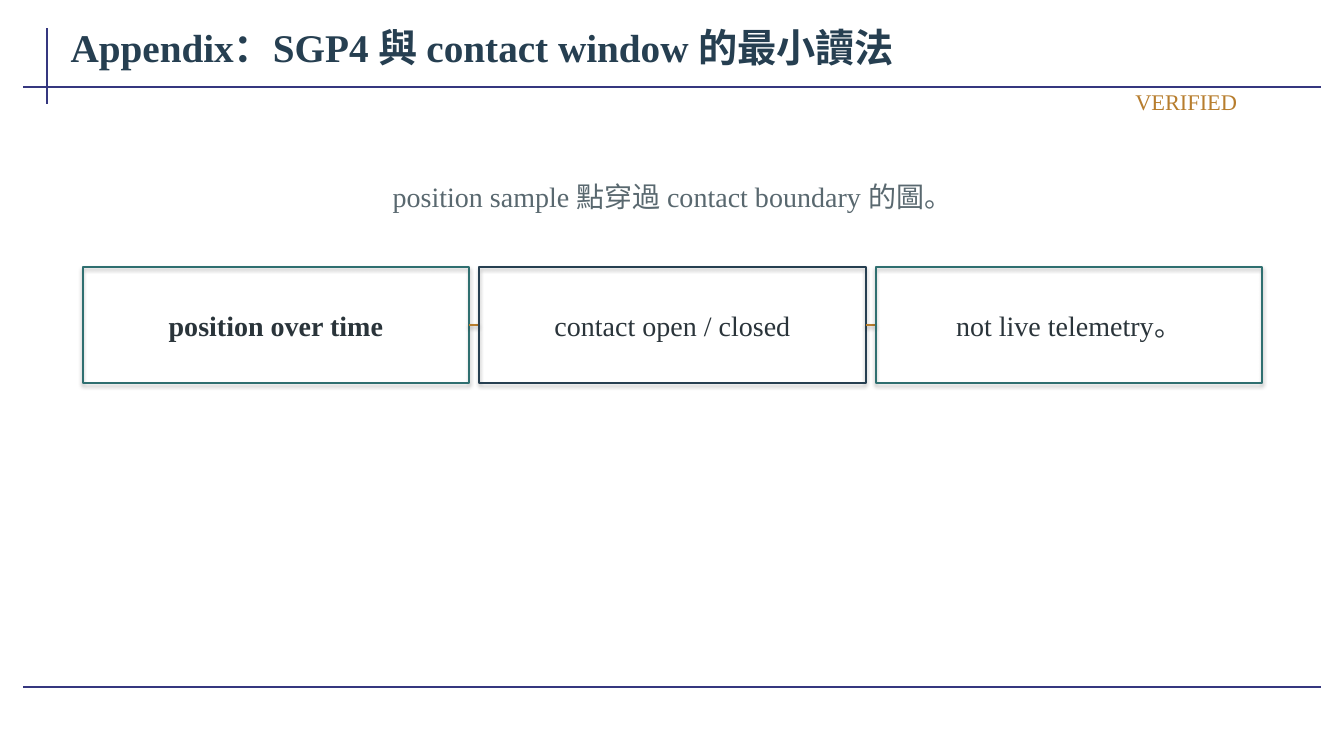
import pptx
import pptx.dml.color
import pptx.enum.shapes
import pptx.enum.text
import pptx.oxml
import pptx.util

RGB = pptx.dml.color.RGBColor
NAVY = RGB(0x26, 0x3F, 0x51)
TEAL = RGB(0x2F, 0x6F, 0x70)
OCHRE = RGB(0xB7, 0x7D, 0x2D)
INK = RGB(0x2A, 0x34, 0x3A)
SLATE = RGB(0x59, 0x68, 0x6F)
INDIGO = RGB(0x35, 0x37, 0x7F)

FONT = "Times New Roman"
EMU_PER_PX = 9144
ALIGN = pptx.enum.text.PP_ALIGN
NS = "http://schemas.openxmlformats.org/drawingml/2006/main"
SHADOW = (
    '<a:effectLst xmlns:a="{ns}"><a:outerShdw blurRad="40000" dist="{dist}" '
    'dir="5400000" rotWithShape="0"><a:srgbClr val="000000">'
    '<a:alpha val="{alpha}"/></a:srgbClr></a:outerShdw></a:effectLst>'
)


def px(n):
    return pptx.util.Emu(round(n * EMU_PER_PX))


def add_shadow(sp, dist, alpha):
    xml = SHADOW.format(ns=NS, dist=dist, alpha=alpha)
    sp._element.spPr.append(pptx.oxml.parse_xml(xml))


def add_line(slide, x1, y1, x2, y2, color, width):
    kind = pptx.enum.shapes.MSO_CONNECTOR.STRAIGHT
    line = slide.shapes.add_connector(kind, px(x1), px(y1), px(x2), px(y2))
    line.line.color.rgb = color
    line.line.width = pptx.util.Pt(width)
    return line


def write_text(sp, text, size, color, align, bold=False):
    tf = sp.text_frame
    tf.word_wrap = True
    tf.auto_size = pptx.enum.text.MSO_AUTO_SIZE.NONE
    tf.vertical_anchor = pptx.enum.text.MSO_ANCHOR.MIDDLE
    tf.margin_left = tf.margin_right = px(8)
    tf.margin_top = tf.margin_bottom = px(4)
    p = tf.paragraphs[0]
    p.text = text
    p.alignment = align
    p.font.name = FONT
    p.font.size = pptx.util.Pt(size)
    p.font.bold = bold
    p.font.color.rgb = color


def add_label(slide, x, y, w, h, *style):
    box = slide.shapes.add_textbox(px(x), px(y), px(w), px(h))
    write_text(box, *style)


def add_frame(slide, x, y, w, h):
    rule_y = y + 58
    foot_y = y + h
    for x1, y1, x2, y2 in (
        (x + 24, y, x + 24, y + 75),
        (x, rule_y, x + w, rule_y),
        (x, foot_y, x + w, foot_y),
    ):
        line = add_line(slide, x1, y1, x2, y2, INDIGO, 1.5)
        line._element.spPr.append(pptx.oxml.parse_xml(f'<a:effectLst xmlns:a="{NS}"/>'))


def add_title(slide, x, y, w, h):
    title = slide.shapes.title
    title.left, title.top, title.width, title.height = px(x), px(y), px(w), px(h)
    write_text(title, "Appendix：SGP4 與 contact window 的最小讀法", 28, NAVY, ALIGN.LEFT, True)


def add_card(slide, x, y, w, h, text, border, bold):
    rect = pptx.enum.shapes.MSO_SHAPE.RECTANGLE
    card = slide.shapes.add_shape(rect, px(x), px(y), px(w), px(h))
    card.fill.background()
    card.line.color.rgb = border
    card.line.width = pptx.util.Pt(1.2)
    add_shadow(card, 23000, 35000)
    add_label(slide, x + 5, y + 10, w - 10, h - 20, text, 20, INK, ALIGN.CENTER, bold)


def add_card_row(slide, x, y, w, h, cards, gap=10):
    card_w = (w - gap * (len(cards) - 1)) / len(cards)
    for i, (text, border, bold) in enumerate(cards):
        left = x + i * (card_w + gap)
        if i:
            link = add_line(slide, left - gap, y + h / 2, left, y + h / 2, OCHRE, 1.2)
            add_shadow(link, 20000, 38000)
        add_card(slide, left, y, card_w, h, text, border, bold)


def main():
    prs = pptx.Presentation()
    prs.slide_width, prs.slide_height = px(1333), px(750)
    slide = prs.slides.add_slide(prs.slide_layouts[5])
    add_frame(slide, 23, 28, 1287, 654)
    add_title(slide, 62, 15, 1249, 62)
    add_card_row(slide, 82, 265, 1170, 115, [
        ("position over time", TEAL, True),
        ("contact open / closed", NAVY, False),
        ("not live telemetry。", TEAL, False),
    ])
    add_label(slide, 92, 165, 1150, 60,
              "position sample 點穿過 contact boundary 的圖。", 20, SLATE, ALIGN.CENTER)
    add_label(slide, 915, 86, 320, 30, "VERIFIED", 16, OCHRE, ALIGN.RIGHT)
    prs.save("out.pptx")


if __name__ == "__main__":
    main()
